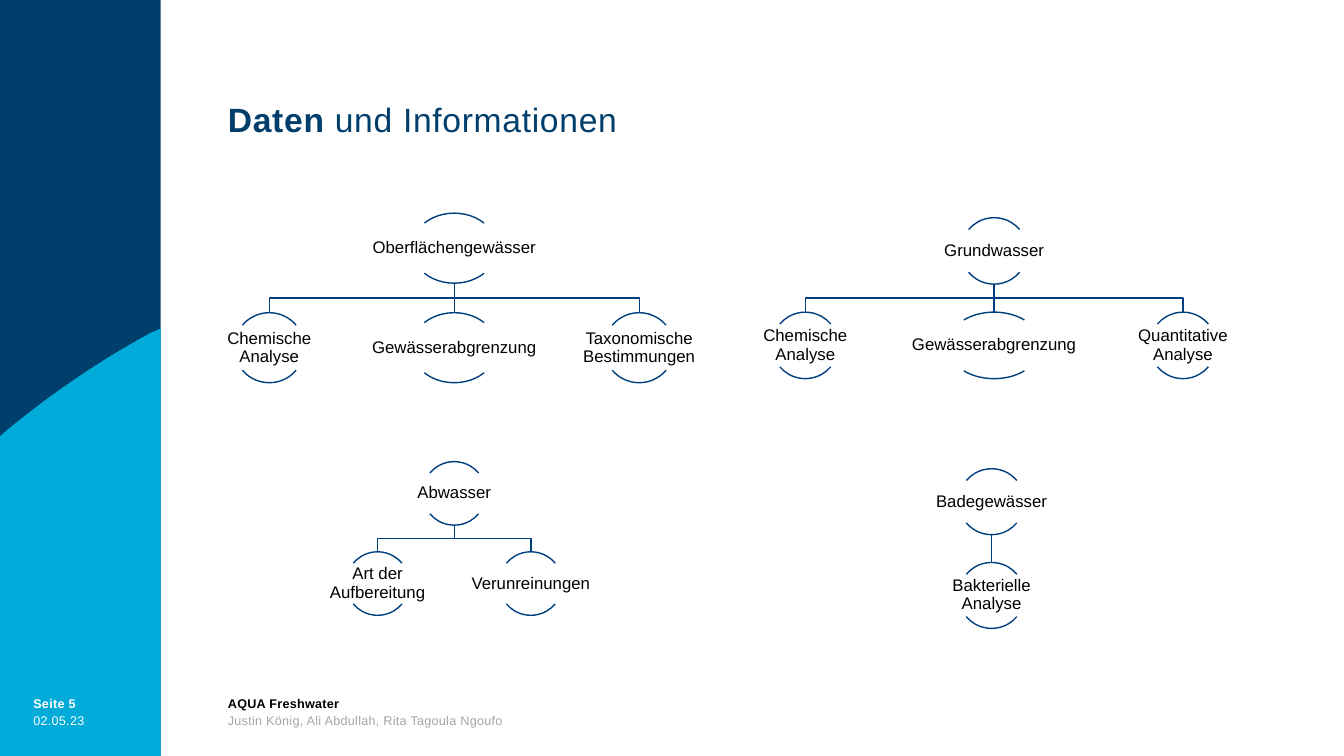
from lxml import etree
from pptx import Presentation, util as u
from pptx.dml.color import RGBColor
from pptx.enum import shapes, text
from pptx.oxml.ns import qn

NAVY, CYAN, LINE = "003F6B", "00ABDA", "003F7F"
BLACK, WHITE, GREY = "000000", "FFFFFF", "A5A5A5"

deck = Presentation()
deck.slide_width, deck.slide_height = u.Inches(13.33), u.Inches(7.5)
page = deck.slides.add_slide(deck.slide_layouts[6])
# Grid of 100 columns by 100 rows
COL, ROW = deck.slide_width / 100, deck.slide_height / 100


def colour(code):
    return RGBColor.from_string(code)


def write(left, top, width, height, paragraphs, size, leading, spacing=0, inset=0):
    """Add a text box; each paragraph is a list of (words, colour, bold)."""
    box = page.shapes.add_textbox(*(round(v) for v in (left, top, width, height)))
    frame = box.text_frame
    frame.word_wrap = True
    frame.margin_left = frame.margin_right = u.Inches(inset)
    frame.margin_top = frame.margin_bottom = u.Inches(inset)
    for number, spans in enumerate(paragraphs):
        para = frame.add_paragraph() if number else frame.paragraphs[0]
        para.line_spacing = leading
        para.font.name, para.font.size = "Arial", u.Pt(size)
        for words, code, bold in spans:
            span = para.add_run()
            span.text = words
            span.font.name, span.font.size = "Arial", u.Pt(size)
            span.font.bold = bold
            span.font.color.rgb = colour(code)
            if spacing:
                span._r.get_or_add_rPr().set("spc", str(spacing))
    return box


# Side panel with the curved wave
panel_width = 11.95 * COL
panel = page.shapes.add_shape(
    shapes.MSO_SHAPE.RECTANGLE, 0, 0, round(panel_width), deck.slide_height)
crest = [(0.68, 56.67), (3.98, 51.87), (7.5, 47.6), (11.25, 44)]
curve = []
for step in range(17):
    t = step / 16
    weights = ((1 - t) ** 3, 3 * t * (1 - t) ** 2, 3 * t * t * (1 - t), t ** 3)
    curve.append((sum(w * x for w, (x, y) in zip(weights, crest)) * COL,
                  sum(w * y for w, (x, y) in zip(weights, crest)) * ROW))
builder = page.shapes.build_freeform(0, deck.slide_height)
builder.add_line_segments(
    [(0, 57.73 * ROW), *curve, (panel_width, 43.47 * ROW),
     (panel_width, deck.slide_height)], close=True)
wave = builder.convert_to_shape()
for shape, code in ((panel, NAVY), (wave, CYAN)):
    shape.shadow.inherit = False
    shape.fill.solid()
    shape.fill.fore_color.rgb = colour(code)
    shape.line.fill.background()

# Title and footer
margin, side = 16.96 * COL, 2.48 * COL
write(margin, 13.73 * ROW, 47.9 * COL, 6.4 * ROW,
      [[("Daten", NAVY, True), (" und Informationen", NAVY, False)]], 24, 0.9, 50)
footers = [
    (side, 91.87, 8.5, [[("Seite 5", WHITE, True)]]),
    (side, 94.13, 7.35, [[("02.05.23", WHITE, False)]]),
    (margin, 91.87, 70.6, [[("AQUA Freshwater", BLACK, True)],
                           [("Justin König, Ali Abdullah, Rita Tagoula Ngoufo", GREY, False)]]),
]
for left, row, columns, paragraphs in footers:
    write(left, row * ROW, columns * COL, 2.3 * len(paragraphs) * ROW,
          paragraphs, 9, u.Pt(12), 20)

# Trees: centre column, top row, node height, child spacing, root, children.
# A node is its label and its width relative to its height.
trees = [
    (73.97, 28.8, 8.8, 14.05, ("Grundwasser", 1),
     [("Chemische Analyse", 1), ("Gewässerabgrenzung", 1.41), ("Quantitative Analyse", 1)]),
    (33.8, 28.2, 9.27, 13.76, ("Oberflächengewässer", 1.22),
     [("Chemische Analyse", 1), ("Gewässerabgrenzung", 1.22), ("Taxonomische Bestimmungen", 1)]),
    (73.78, 62, 8.73, 0, ("Badegewässer", 1), [("Bakterielle Analyse", 1)]),
    (33.8, 61.07, 8.4, 11.4, ("Abwasser", 1),
     [("Art der Aufbereitung", 1), ("Verunreinungen", 1)]),
]
for centre_column, top_row, node_rows, spacing, root, children in trees:
    centre, top, height = centre_column * COL, top_row * ROW, node_rows * ROW
    root_bottom, child_top = top + height, top + 1.42 * height
    bend = (root_bottom + child_top) / 2
    nodes = [(root, centre, top)]
    for index, child in enumerate(children):
        x = centre + (index - (len(children) - 1) / 2) * spacing * COL
        nodes.append((child, x, child_top))
        if x == centre:
            branch = page.shapes.add_connector(
                shapes.MSO_CONNECTOR.STRAIGHT, round(x), round(root_bottom),
                round(x), round(child_top))
            etree.SubElement(branch._element.spPr, qn("a:effectLst"))
        else:
            builder = page.shapes.build_freeform(centre, root_bottom)
            builder.add_line_segments(
                [(centre, bend), (x, bend), (x, child_top)], close=False)
            branch = builder.convert_to_shape()
            branch.shadow.inherit = False
            branch.fill.background()
        branch.line.color.rgb = colour(LINE)
        branch.line.width = u.Pt(1)

    for (label, ratio), x, y in nodes:
        width = height * ratio
        for start, end in ((132, 192), (24, 84)):
            arc = page.shapes.add_shape(
                shapes.MSO_SHAPE.ARC, round(x - width / 2), round(y),
                round(width), round(height))
            arc.adjustments[0], arc.adjustments[1] = start, end
            arc.shadow.inherit = False
            arc.fill.background()
            arc.line.color.rgb = colour(LINE)
            arc.line.width = u.Pt(1)
        box = write(x - width, y + 0.18 * height, 2 * width, 0.64 * height,
                    [[(label, BLACK, False)]], 12, 0.9, inset=0.01)
        box.text_frame.vertical_anchor = text.MSO_ANCHOR.MIDDLE
        box.text_frame.paragraphs[0].alignment = text.PP_ALIGN.CENTER

deck.save("out.pptx")
